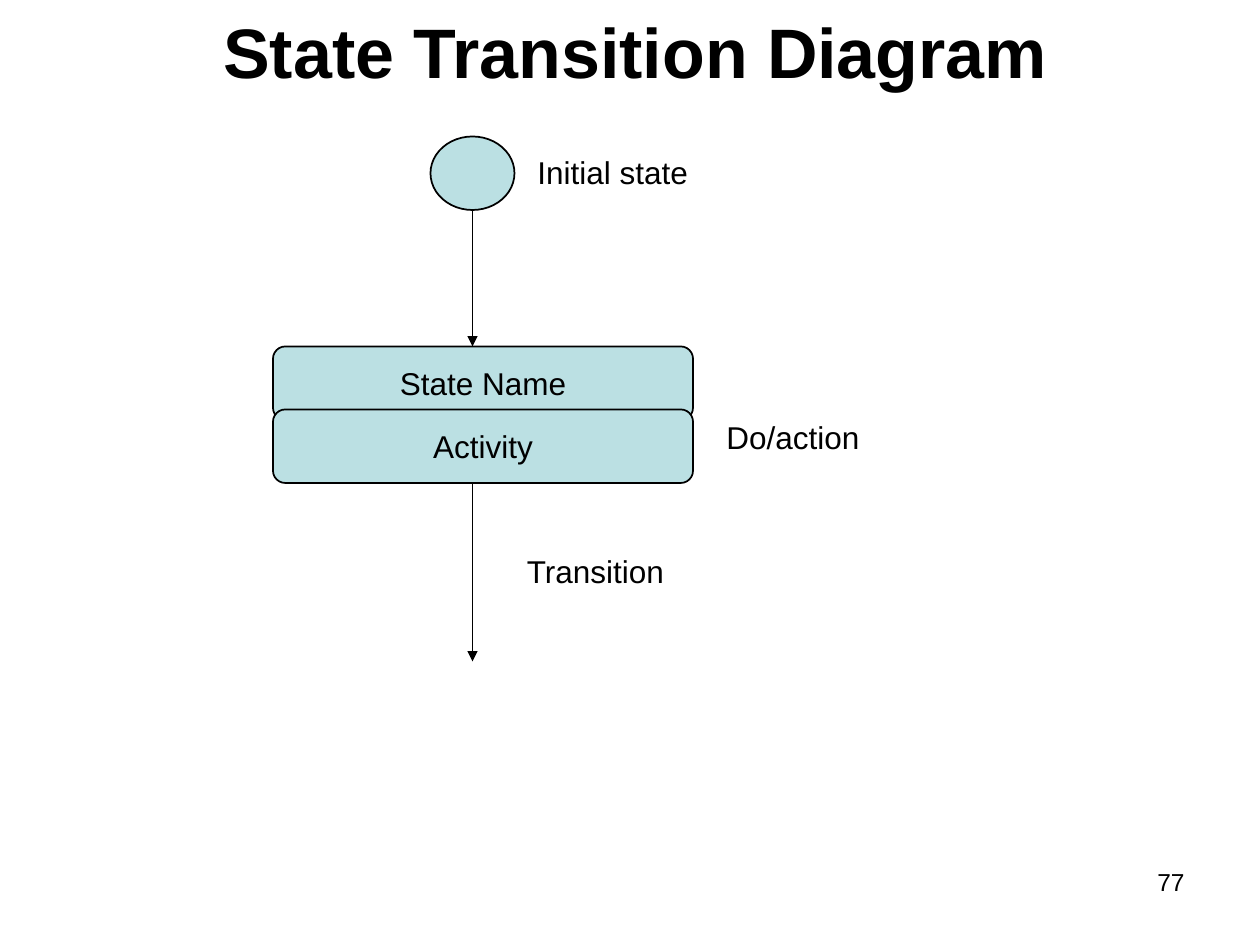
from dataclasses import dataclass

import pptx
import pptx.dml.color
import pptx.enum.shapes
import pptx.enum.text
import pptx.oxml
import pptx.oxml.ns
import pptx.util

PX = 7620  # EMU, 120 px to the inch
SHAPE = pptx.enum.shapes.MSO_SHAPE
ALIGN = pptx.enum.text.PP_ALIGN
ANCHOR = pptx.enum.text.MSO_ANCHOR
RGB = pptx.dml.color.RGBColor


@dataclass(frozen=True)
class Theme:
    font: str = "Arial"
    ink: RGB = RGB(0x00, 0x00, 0x00)
    fill: RGB = RGB(0xBB, 0xE0, 0xE3)
    title: int = 40
    body: int = 18
    number: int = 14


@dataclass(frozen=True)
class Box:
    x: int
    y: int
    w: int
    h: int

    def emu(self) -> tuple[int, ...]:
        return tuple(v * PX for v in (self.x, self.y, self.w, self.h))


@dataclass(frozen=True)
class Node:
    kind: SHAPE
    box: Box
    text: str = ""


@dataclass(frozen=True)
class Label:
    text: str
    box: Box
    size: int
    align: ALIGN = ALIGN.LEFT


THEME = Theme()
AXIS = 450
STATE_W, NODE_H = 400, 70

NODES = [
    Node(SHAPE.FLOWCHART_ALTERNATE_PROCESS, Box(260, 330, STATE_W, NODE_H), "State Name"),
    Node(SHAPE.FLOWCHART_ALTERNATE_PROCESS, Box(260, 390, STATE_W, NODE_H), "Activity"),
    Node(SHAPE.OVAL, Box(AXIS - 40, 130, 80, NODE_H)),
]
ARROWS = [(460, 630), (200, 330)]
LABELS = [
    Label("Transition", Box(490, 520, 250, 48), THEME.body),
    Label("Do/action", Box(680, 392, 250, 48), THEME.body),
    Label("Initial state", Box(500, 140, 290, 48), THEME.body),
    Label("77", Box(860, 820, 280, 62), THEME.number, ALIGN.RIGHT),
]


def write(tf, text: str, *, size: int, bold: bool = False, align=ALIGN.LEFT,
          anchor=ANCHOR.TOP, wrap: bool = True) -> None:
    tf.word_wrap = wrap
    tf.vertical_anchor = anchor
    p = tf.paragraphs[0]
    p.alignment = align
    r = p.add_run()
    r.text = text
    r.font.name = THEME.font
    r.font.size = pptx.util.Pt(size)
    r.font.bold = bold
    r.font.color.rgb = THEME.ink


def add_title(s, text: str, box: Box) -> None:
    sp = s.shapes.title
    sp.left, sp.top, sp.width, sp.height = box.emu()
    write(sp.text_frame, text, size=THEME.title, bold=True,
          align=ALIGN.CENTER, anchor=ANCHOR.MIDDLE)


def add_node(s, node: Node) -> None:
    sp = s.shapes.add_shape(node.kind, *node.box.emu())
    sp.shadow.inherit = False
    sp.fill.solid()
    sp.fill.fore_color.rgb = THEME.fill
    sp.line.color.rgb = THEME.ink
    sp.line.width = pptx.util.Pt(1)
    if node.text:
        write(sp.text_frame, node.text, size=THEME.body, align=ALIGN.CENTER,
              anchor=ANCHOR.MIDDLE, wrap=False)


def add_arrow(s, top: int, bottom: int) -> None:
    """Draw a downward arrow on the diagram's axis."""
    cx = s.shapes.add_connector(pptx.enum.shapes.MSO_CONNECTOR.STRAIGHT,
                                AXIS * PX, top * PX, AXIS * PX, bottom * PX)
    cx.line.color.rgb = THEME.ink
    cx.line.width = pptx.util.Pt(1)
    qn = pptx.oxml.ns.qn
    tail = cx.line._get_or_add_ln().makeelement(qn("a:tailEnd"), {"type": "triangle"})
    cx.line._get_or_add_ln().append(tail)
    sp_pr = cx._element.spPr
    sp_pr.append(sp_pr.makeelement(qn("a:effectLst"), {}))


def add_label(s, label: Label) -> None:
    sp = s.shapes.add_textbox(*label.box.emu())
    write(sp.text_frame, label.text, size=label.size, align=label.align)


def main() -> None:
    prs = pptx.Presentation()
    prs.slide_width, prs.slide_height = 1200 * PX, 900 * PX
    s = prs.slides.add_slide(prs.slide_layouts[5])
    add_title(s, "State Transition Diagram", Box(10, 16, 1190, 64))
    for node in NODES:
        add_node(s, node)
    for top, bottom in ARROWS:
        add_arrow(s, top, bottom)
    for label in LABELS:
        add_label(s, label)
    prs.save("out.pptx")


if __name__ == "__main__":
    main()
